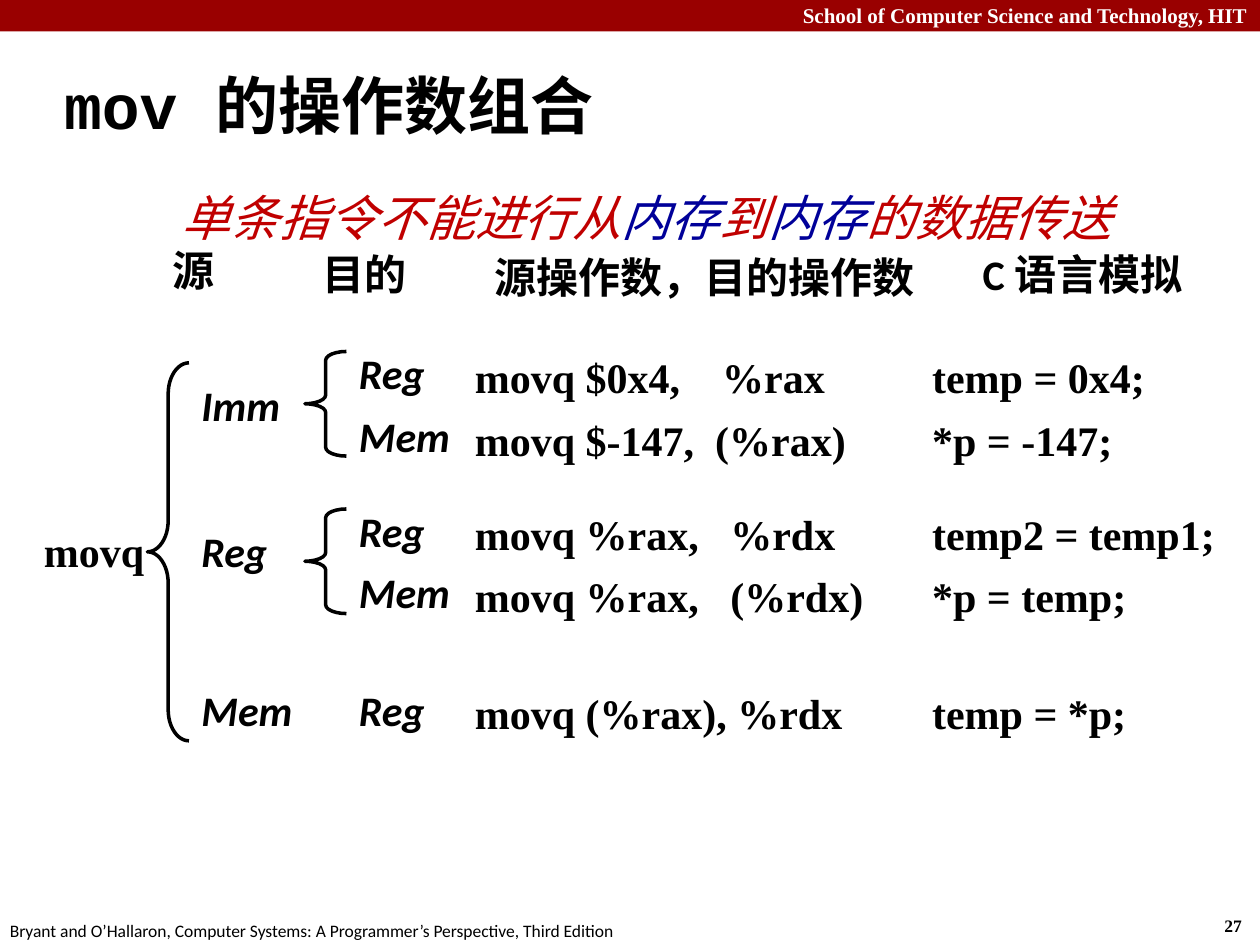
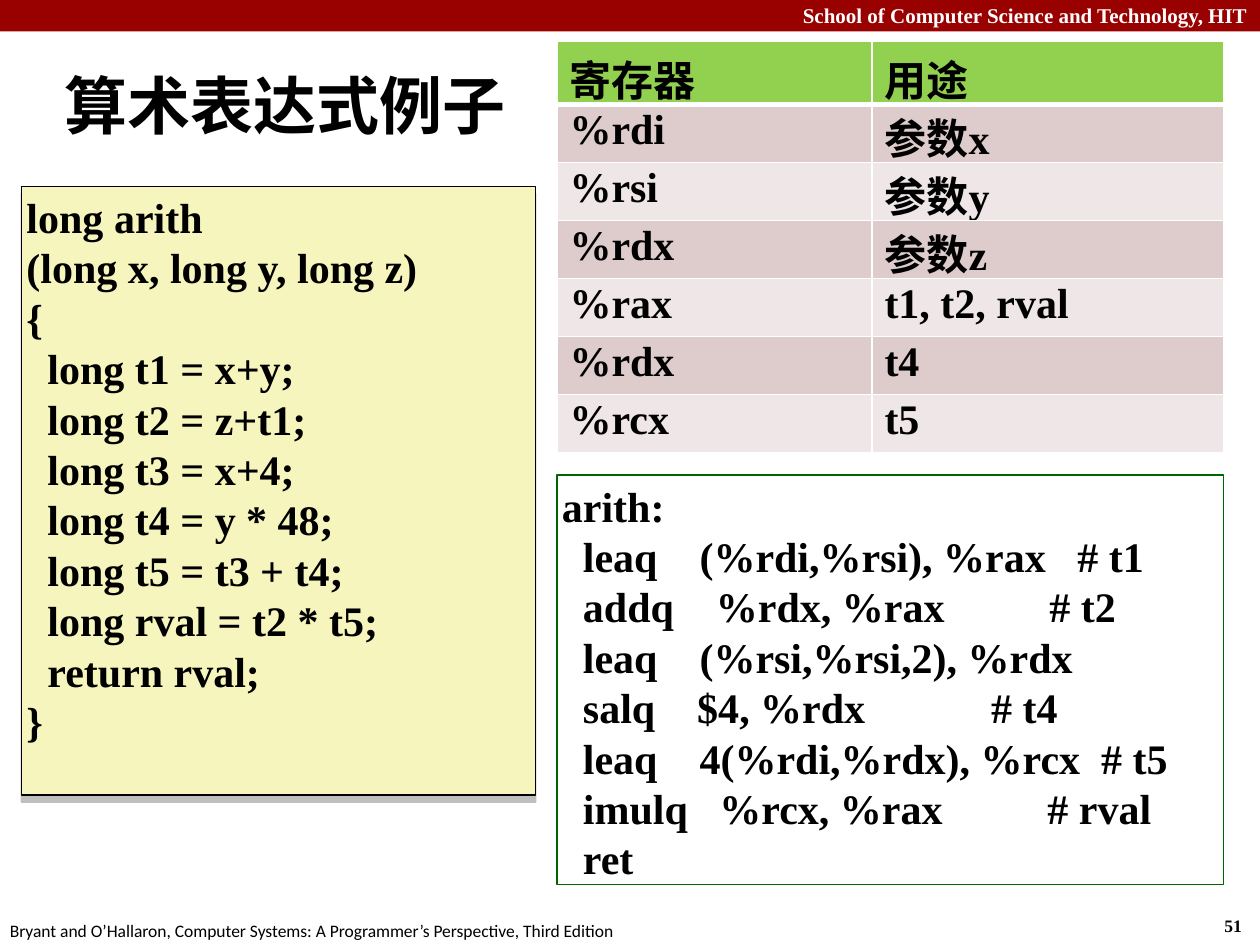
"""Build two lecture slides on mov operands and an arithmetic example."""
from dataclasses import dataclass

from lxml import etree
from pptx import Presentation
from pptx.dml.color import RGBColor
from pptx.enum.lang import MSO_LANGUAGE_ID as LANG
from pptx.enum.shapes import MSO_SHAPE as SHAPE
from pptx.enum.text import MSO_ANCHOR as ANCHOR, MSO_AUTO_SIZE as AUTO, PP_ALIGN as ALIGN
from pptx.oxml.ns import qn
from pptx.util import Inches, Pt


@dataclass(frozen=True)
class Theme:
    band: str = "990000"
    ink: str = "000000"
    white: str = "FFFFFF"
    red: str = "C00000"
    blue: str = "000099"
    code_fill: str = "F6F5BD"
    shade: str = "808080"
    asm_line: str = "006600"
    table_head: str = "92D050"
    table_rows: tuple = ("DECCCC", "EFE7E7")
    sans: str = "Calibri"
    serif: str = "Times New Roman"
    mono: str = "Courier New"
    title: int = 36
    lead: int = 28
    body: int = 24
    header: int = 12
    footer: int = 10


T = Theme()
SCHOOL = "School of Computer Science and Technology, HIT"
BOOK = "Bryant and O’Hallaron, Computer Systems: A Programmer’s Perspective, Third Edition"

SOURCES = [("Imm", 2.96), ("Reg", 4.12), ("Mem", 5.38)]
MOVES = [
    (2.71, "Reg", "movq $0x4,    %rax", 3.01, "temp = 0x4;"),
    (3.21, "Mem", "movq $-147,  (%rax)", 3.18, "*p = -147;"),
    (3.96, "Reg", "movq %rax,   %rdx", 3.09, "temp2 = temp1;"),
    (4.45, "Mem", "movq %rax,   (%rdx)", 3.32, "*p = temp;"),
    (5.38, "Reg", "movq (%rax), %rdx", 3.15, "temp = *p;"),
]
OPERAND_WIDTHS = {"Imm": 0.83, "Reg": 0.73, "Mem": 0.96}
REGISTERS = [
    ("寄存器", "用途"),
    ("%rdi", "参数x"),
    ("%rsi", "参数y"),
    ("%rdx", "参数z"),
    ("%rax", "t1, t2, rval"),
    ("%rdx", "t4"),
    ("%rcx", "t5"),
]
C_CODE = """long arith
(long x, long y, long z)
{
  long t1 = x+y;
  long t2 = z+t1;
  long t3 = x+4;
  long t4 = y * 48;
  long t5 = t3 + t4;
  long rval = t2 * t5;
  return rval;
}"""
ASM_CODE = """arith:
  leaq    (%rdi,%rsi), %rax   # t1
  addq    %rdx, %rax          # t2
  leaq    (%rsi,%rsi,2), %rdx
  salq    $4, %rdx            # t4
  leaq    4(%rdi,%rdx), %rcx  # t5
  imulq   %rcx, %rax          # rval
  ret"""


def rgb(color):
    """Turn a hex string into a colour."""
    return RGBColor.from_string(color)


def add_run(p, text, font=T.serif, size=T.body, color=T.ink, bold=True, italic=False):
    """Append one formatted run to a paragraph."""
    r = p.add_run()
    r.text = text
    f = r.font
    f.name, f.size, f.bold, f.italic = font, Pt(size), bold, italic
    f.color.rgb = rgb(color)
    if any(ch >= "一" for ch in text):
        f.language_id = LANG.SIMPLIFIED_CHINESE


def write(tf, text, align=ALIGN.LEFT, spacing=None, **fmt):
    """Write lines of text; a list of (text, format) pairs makes a mixed line."""
    lines = [text] if isinstance(text, list) else [[(line, {})] for line in text.split("\n")]
    for i, parts in enumerate(lines):
        p = tf.add_paragraph() if i else tf.paragraphs[0]
        p.alignment = align
        if spacing:
            p.line_spacing = spacing
        for part, extra in parts:
            add_run(p, part, **{**fmt, **extra})


def set_insets(tf, inset):
    """Give all four sides of a text frame one inset."""
    tf.margin_left = tf.margin_right = tf.margin_top = tf.margin_bottom = Inches(inset)


def add_text(s, text, x, y, w, h=0.5, wrap=False, inset=None, anchor=ANCHOR.TOP,
             grow=True, **fmt):
    """Add a text box."""
    sp = s.shapes.add_textbox(*map(Inches, (x, y, w, h)))
    tf = sp.text_frame
    tf.word_wrap, tf.vertical_anchor = wrap, anchor
    tf.auto_size = AUTO.SHAPE_TO_FIT_TEXT if grow else AUTO.NONE
    if inset is not None:
        set_insets(tf, inset)
    write(tf, text, **fmt)


def add_box(s, kind, x, y, w, h, fill=None, line=None, width=1):
    """Add a preset shape with a plain fill and outline."""
    sp = s.shapes.add_shape(kind, *map(Inches, (x, y, w, h)))
    sp.shadow.inherit = False
    if fill:
        sp.fill.solid()
        sp.fill.fore_color.rgb = rgb(fill)
    else:
        sp.fill.background()
    if line:
        sp.line.color.rgb, sp.line.width = rgb(line), Pt(width)
    else:
        sp.line.fill.background()
    return sp


def add_brace(s, x, y, h, curve):
    """Add a left brace of the shared width."""
    sp = add_box(s, SHAPE.LEFT_BRACE, x, y, 0.33, h, line=T.ink, width=2)
    sp.adjustments[0], sp.adjustments[1] = curve, 0.5


def add_code(s, code, x, y, w, h, **look):
    """Add a framed code listing."""
    sp = add_box(s, SHAPE.RECTANGLE, x, y, w, h, **look)
    tf = sp.text_frame
    tf.word_wrap, tf.vertical_anchor = True, ANCHOR.TOP
    set_insets(tf, 0.04)
    write(tf, code)
    return sp


def drop_shadow(sp):
    """Put a hard grey shadow below a shape."""
    effects = sp._element.spPr.find(qn("a:effectLst"))
    shadow = etree.SubElement(effects, qn("a:outerShdw"), blurRad="0", dist=str(Pt(4)),
                              dir="5400000", algn="ctr", rotWithShape="0")
    color = etree.SubElement(shadow, qn("a:srgbClr"), val=T.shade)
    etree.SubElement(color, qn("a:alpha"), val="50000")


def set_borders(cell, **widths):
    """Draw white cell borders, one point wide unless told otherwise."""
    tc_pr = cell._tc.get_or_add_tcPr()
    for side in ("L", "R", "T", "B"):
        ln = etree.SubElement(tc_pr, qn(f"a:ln{side}"), w=str(Pt(widths.get(side, 1))))
        etree.SubElement(etree.SubElement(ln, qn("a:solidFill")), qn("a:srgbClr"), val=T.white)


def add_register_table(s, x, y, col_widths, row_height):
    """Add the table of registers and their uses."""
    size = sum(col_widths), row_height * len(REGISTERS)
    tbl = s.shapes.add_table(len(REGISTERS), len(col_widths), *map(Inches, (x, y, *size))).table
    for col, width in zip(tbl.columns, col_widths):
        col.width = Inches(width)
    for i, row in enumerate(REGISTERS):
        for j, text in enumerate(row):
            cell = tbl.cell(i, j)
            set_borders(cell, T=3 if i == 1 else 1, B=1 if i else 3)
            cell.fill.solid()
            cell.fill.fore_color.rgb = rgb(T.table_rows[(i - 1) % 2] if i else T.table_head)
            write(cell.text_frame, text, spacing=0.9 if i else None)


def add_slide(prs, number, title):
    """Add a blank slide with the shared band, footer and title."""
    s = prs.slides.add_slide(prs.slide_layouts[6])
    add_box(s, SHAPE.RECTANGLE, 0, 0, 10, 0.25, fill=T.band)
    add_text(s, number, 9.62, 7.21, 0.37, 0.27, size=T.footer)
    add_text(s, SCHOOL, 0, -0.03, 10, 0.3, wrap=True, align=ALIGN.RIGHT,
             size=T.header, color=T.white)
    add_text(s, BOOK, -0.02, 7.25, 5.08, 0.27, font=T.sans, size=T.footer, bold=False)
    add_text(s, title, 0.41, 0.41, 9.51, 0.83, wrap=True, grow=False,
             anchor=ANCHOR.MIDDLE, font=T.sans, size=T.title)
    return s


def build_operands(prs):
    """Build the slide of mov operand combinations."""
    s = add_slide(prs, "27", [("mov ", {"font": T.mono}), ("的操作数组合", {})])
    memory = ("内存", {"color": T.blue})
    lead = [("单条指令不能进行从", {}), memory, ("到", {}), memory, ("的数据传送", {})]
    add_text(s, lead, 0.43, 1.49, 9.4, 5.76, wrap=True, grow=False, inset=0,
             align=ALIGN.CENTER, size=T.lead, color=T.red, bold=False, italic=True)
    for text, x, y, w, wrap in [("源", 1.27, 1.89, 0.54, False),
                                ("目的", 2.46, 1.92, 0.88, False),
                                ("源操作数，目的操作数", 3.83, 1.95, 3.62, True),
                                ("C 语言模拟", 7.7, 1.92, 1.8, True)]:
        add_text(s, text, x, y, w, wrap=wrap, font=T.sans)
    add_text(s, "movq", 0.25, 4.12, 1.02)
    add_brace(s, 1.17, 2.88, 3, 0.75)
    for y in (2.79, 4.04):
        add_brace(s, 2.42, y, 0.83, 0.21)
    operands = [(name, 1.5, y) for name, y in SOURCES]
    operands += [(name, 2.75, y) for y, name, *_ in MOVES]
    for name, x, y in operands:
        add_text(s, name, x, y, OPERAND_WIDTHS[name], font=T.sans, italic=True)
    for y, _, move, width, c_line in MOVES:
        add_text(s, move, 3.67, y + 0.03, width)
        add_text(s, c_line, 7.3, y + 0.03, 2.53, wrap=True)


def build_arithmetic(prs):
    """Build the slide that compiles an arithmetic function."""
    s = add_slide(prs, "51", "算术表达式例子")
    drop_shadow(add_code(s, C_CODE, 0.17, 1.48, 4.08, 4.83, fill=T.code_fill, line=T.ink))
    add_code(s, ASM_CODE, 4.42, 3.77, 5.29, 3.25, line=T.asm_line)
    add_register_table(s, 4.42, 0.33, (2.5, 2.79), 0.42)


def main():
    """Build and save the deck."""
    prs = Presentation()
    prs.slide_width, prs.slide_height = Inches(10), Inches(7.5)
    build_operands(prs)
    build_arithmetic(prs)
    prs.save("out.pptx")


if __name__ == "__main__":
    main()
